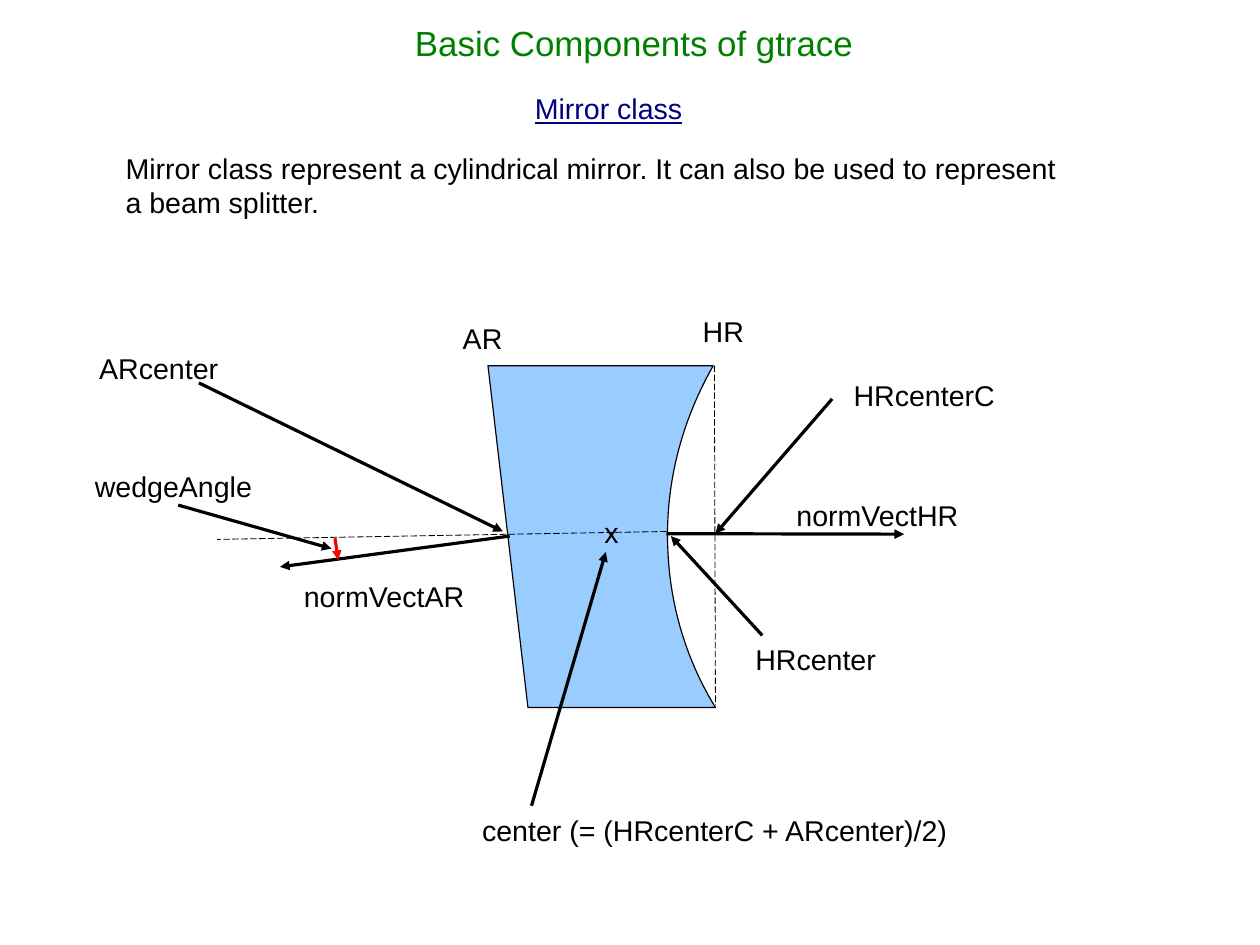
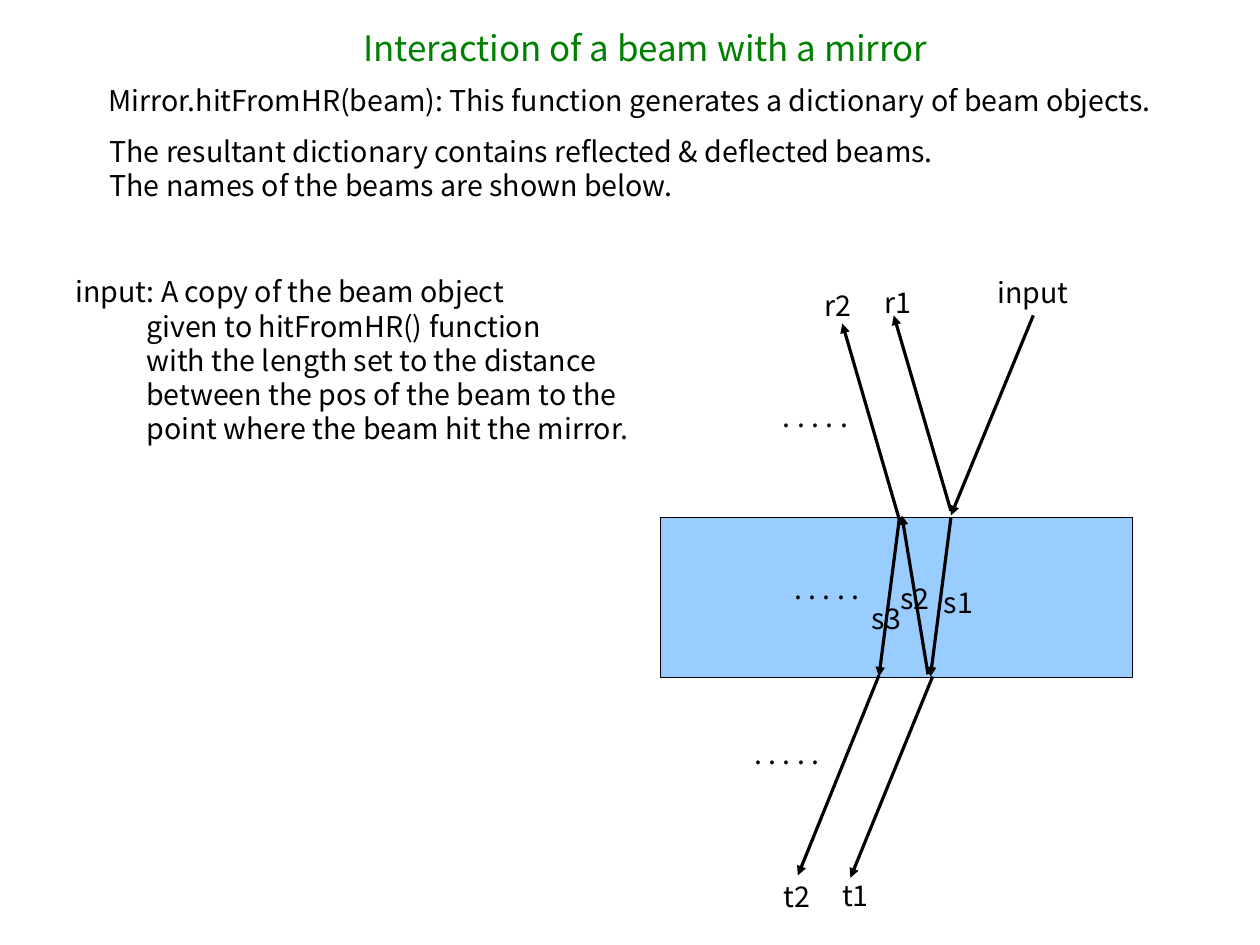
from dataclasses import dataclass

from lxml import etree
from pptx import Presentation
from pptx.dml.color import RGBColor
from pptx.enum.dml import MSO_LINE
from pptx.enum.shapes import MSO_CONNECTOR, MSO_SHAPE
from pptx.enum.text import MSO_ANCHOR, MSO_AUTO_SIZE, PP_ALIGN
from pptx.oxml.ns import qn
from pptx.util import Pt

STRAIGHT = MSO_CONNECTOR.STRAIGHT
RECTANGLE = MSO_SHAPE.RECTANGLE
LONG_DASH = MSO_LINE.LONG_DASH
TOP = MSO_ANCHOR.TOP
LEFT = PP_ALIGN.LEFT
FIT_SHAPE = MSO_AUTO_SIZE.SHAPE_TO_FIT_TEXT
TITLE_ONLY = 5

GREEN, NAVY, BLACK, RED, GLASS = "008000", "000080", "000000", "FF0000", "99CCFF"
ARIAL, NOTO = "Arial", "Noto Sans CJK JP"
TITLE_SIZE, TEXT_SIZE = 22, 18
HAIRLINE, DASH_WIDTH = 0, 0.5
CURVE_STEPS = 20

Point = tuple[float, float]


@dataclass
class Label:
    text: str
    left: float
    top: float
    width: float
    height: float
    color: str = BLACK
    size: float = TEXT_SIZE
    underline: bool = False
    hanging: float = 0


@dataclass
class Ray:
    start: Point
    end: Point
    color: str = BLACK
    arrow: bool = True


MIRROR_TITLE = Label("Basic Components of gtrace", 254.2, 10.1, 293, 32.4, GREEN, TITLE_SIZE)
MIRROR_LABELS = [
    Label("Mirror class", 329.8, 54, 108, 28, NAVY, underline=True),
    Label("Mirror class represent a cylindrical mirror. It can also be used to represent\n"
          "a beam splitter.", 72, 91.4, 606.2, 49),
    Label("normVectHR", 494.6, 310.3, 117.4, 28),
    Label("normVectAR", 184.3, 361.4, 116.6, 28),
    Label("HR", 435.6, 194.4, 40.3, 28),
    Label("AR", 284.4, 198.7, 39.6, 28),
    Label("HRcenter", 468.7, 401, 90.7, 28),
    Label("HRcenterC", 530.6, 234.7, 104.4, 28),
    Label("x", 373.7, 321.1, 23, 28),
    Label("center (= (HRcenterC + ARcenter)/2)", 296.6, 508.3, 310.3, 28),
    Label("ARcenter", 55.4, 217.4, 90, 28),
    Label("wedgeAngle", 52.6, 291.6, 114.5, 28),
]
MIRROR_RAYS = [
    Ray((419.8, 336.2), (569.5, 336.5)),
    Ray((321.1, 337.7), (176.4, 357.1)),
    Ray((480.2, 400.3), (422.6, 337.7)),
    Ray((450, 230.4), (450.7, 444.2), arrow=False),
    Ray((524.2, 251.3), (450.7, 336.2)),
    Ray((334.8, 507.6), (381.6, 347.8)),
    Ray((125.3, 241.2), (316.8, 334.8)),
    Ray((419.8, 334.8), (136.8, 339.8), arrow=False),
    Ray((211, 339.1), (213.1, 352.8), RED),
    Ray((112.3, 318.2), (208.8, 345.6)),
]

BEAM_TITLE = Label("Interaction of a beam with a mirror", 221.8, 13, 388.1, 37.4,
                   GREEN, TITLE_SIZE)
DOTS = ". . . . ."
BEAM_LABELS = [
    Label("Mirror.hitFromHR(beam): This function generates a dictionary of beam objects.",
          61.2, 49, 693.4, 31.7),
    Label("The resultant dictionary contains reflected & deflected beams.\n"
          "The names of the beams are shown below.", 61.9, 80.6, 545.8, 56.2),
    Label("input: A copy of the beam object\n"
          "given to hitFromHR() function\n"
          "with the length set to the distance\n"
          "between the pos of the beam to the\n"
          "point where the beam hit the mirror.", 40.3, 169.2, 380.9, 129.6, hanging=44.8),
    Label("input", 621.4, 169.9, 60.5, 31.7),
    Label("r1", 550.1, 175.7, 33.1, 31.7),
    Label("r2", 512.6, 177.8, 33.1, 31.7),
    Label("s1", 587.5, 365, 33.8, 31.7),
    Label("s2", 560.2, 362.2, 33.8, 31.7),
    Label("s3", 542.2, 375.1, 33.8, 31.7),
    Label("t1", 523.4, 549.4, 31.7, 31.7),
    Label("t2", 486.7, 550.1, 31.7, 31.7),
    Label(DOTS, 493.2, 356.4, 57.6, 31.7),
    Label(DOTS, 486, 247.7, 57.6, 31.7),
    Label(DOTS, 468, 460.1, 57.6, 31.7),
]
BEAM_RAYS = [
    Ray((650.9, 198.7), (599, 324.7)),
    Ray((599, 326.2), (586.1, 426.2)),
    Ray((587.5, 426.2), (535.7, 553)),
    Ray((584.6, 424.8), (568.1, 324.7)),
    Ray((566.6, 326.2), (553.7, 426.2)),
    Ray((599, 321.8), (563, 198.7)),
    Ray((566.6, 327.6), (530.6, 203.8)),
    Ray((553.7, 425.5), (502.6, 551.5)),
]


def rgb(color: str) -> RGBColor:
    return RGBColor.from_string(color)


def write_label(box, label: Label, font: str) -> None:
    box.left, box.top = Pt(label.left), Pt(label.top)
    box.width, box.height = Pt(label.width), Pt(label.height)
    frame = box.text_frame
    frame.text = label.text
    frame.word_wrap = False
    frame.auto_size = FIT_SHAPE
    frame.vertical_anchor = TOP
    frame.margin_left = frame.margin_right = Pt(7.2)
    frame.margin_top = frame.margin_bottom = Pt(3.6)
    for index, para in enumerate(frame.paragraphs):
        para.alignment = LEFT
        if label.hanging and index:
            para._p.get_or_add_pPr().set("marL", str(Pt(label.hanging)))
        for span in para.runs:
            span.font.name = font
            span.font.size = Pt(label.size)
            span.font.color.rgb = rgb(label.color)
            if label.underline:
                span.font.underline = True


def add_ray(page, ray: Ray) -> None:
    line = page.shapes.add_connector(STRAIGHT, *map(Pt, ray.start + ray.end))
    line.line.color.rgb = rgb(ray.color)
    line.line.width = Pt(HAIRLINE if ray.arrow else DASH_WIDTH)
    if ray.arrow:
        etree.SubElement(line.line._get_or_add_ln(), qn("a:tailEnd"), type="triangle")
    else:
        line.line.dash_style = LONG_DASH
    etree.SubElement(line._element.spPr, qn("a:effectLst"))


def paint_glass(shape) -> None:
    shape.shadow.inherit = False
    shape.fill.solid()
    shape.fill.fore_color.rgb = rgb(GLASS)
    shape.line.color.rgb = rgb(BLACK)
    shape.line.width = Pt(HAIRLINE)


def curve_points(start: Point, first: Point, second: Point, end: Point) -> list[Point]:
    points = []
    for step in range(1, CURVE_STEPS + 1):
        t = step / CURVE_STEPS
        weights = ((1 - t) ** 3, 3 * t * (1 - t) ** 2, 3 * t ** 2 * (1 - t), t ** 3)
        controls = (start, first, second, end)
        points.append(tuple(sum(weight * control[axis]
                                for weight, control in zip(weights, controls))
                            for axis in (0, 1)))
    return points


def add_mirror(page) -> None:
    top_left, top_right = (307.4, 230.4), (449.3, 230.4)
    middle = (420.5, 337)
    bottom_right, bottom_left = (450.7, 445.7), (332.6, 445.7)
    outline = [
        top_right,
        *curve_points(top_right, (431.3, 262.1), (420.5, 298.1), middle),
        *curve_points(middle, (420.5, 377.3), (431.3, 414), bottom_right),
        bottom_left,
    ]
    builder = page.shapes.build_freeform(*map(Pt, top_left))
    builder.add_line_segments([(Pt(x), Pt(y)) for x, y in outline], close=True)
    paint_glass(builder.convert_to_shape())


def add_slab(page) -> None:
    paint_glass(page.shapes.add_shape(RECTANGLE, Pt(416.2), Pt(326.2), Pt(297.4), Pt(100.4)))


def add_page(deck, font: str, title: Label, add_glass, rays: list[Ray],
             labels: list[Label]) -> None:
    page = deck.slides.add_slide(deck.slide_layouts[TITLE_ONLY])
    write_label(page.shapes.title, title, font)
    add_glass(page)
    for ray in rays:
        add_ray(page, ray)
    for label in labels:
        box = page.shapes.add_textbox(0, 0, 0, 0)
        write_label(box, label, font)


def main() -> None:
    deck = Presentation()
    deck.slide_width, deck.slide_height = Pt(793.7), Pt(595.3)
    add_page(deck, ARIAL, MIRROR_TITLE, add_mirror, MIRROR_RAYS, MIRROR_LABELS)
    add_page(deck, NOTO, BEAM_TITLE, add_slab, BEAM_RAYS, BEAM_LABELS)
    deck.save("out.pptx")


if __name__ == "__main__":
    main()
